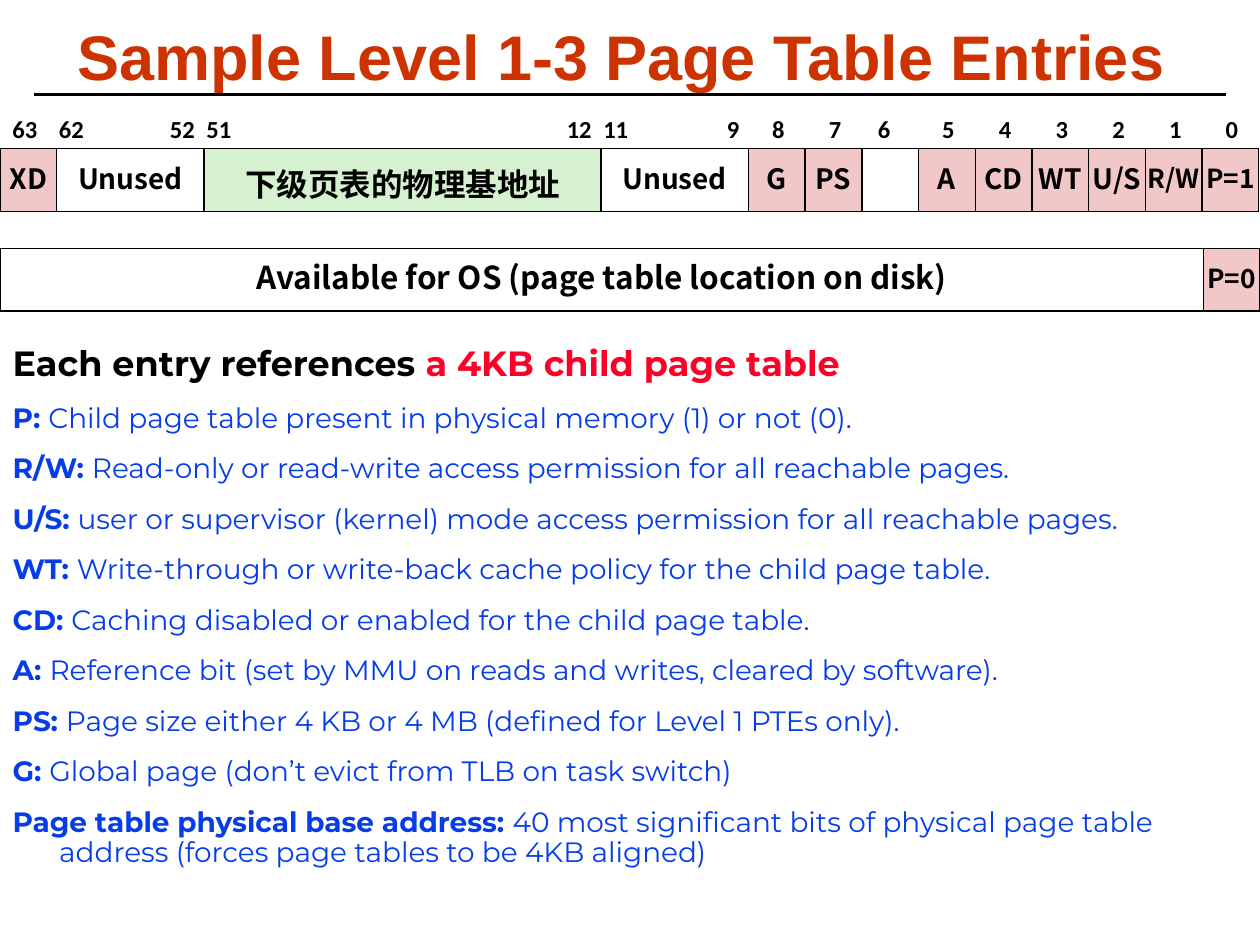
"""Build the slide on level 1-3 page table entries."""
import itertools

import lxml.etree
import pptx
import pptx.dml.color
import pptx.enum.shapes
import pptx.enum.text
import pptx.oxml.ns
import pptx.util

Inches, Pt = pptx.util.Inches, pptx.util.Pt
RGBColor = pptx.dml.color.RGBColor
ALIGN, ANCHOR = pptx.enum.text.PP_ALIGN, pptx.enum.text.MSO_ANCHOR

BLACK = RGBColor(0x00, 0x00, 0x00)
WHITE = RGBColor(0xFF, 0xFF, 0xFF)
PINK = RGBColor(0xF1, 0xC7, 0xC7)
GREEN = RGBColor(0xD5, 0xF1, 0xCF)
ORANGE = RGBColor(0xCC, 0x33, 0x00)
RED = RGBColor(0xFC, 0x01, 0x28)
BLUE = RGBColor(0x06, 0x3D, 0xE8)

TITLE = "Sample Level 1-3 Page Table Entries"
HEADING = ("Each entry references ", "a 4KB child page table")
DEFINITIONS = [
    ("P: ", "Child page table present in physical memory (1) or not (0)."),
    ("R/W: ", "Read-only or read-write access permission for all reachable pages."),
    ("U/S: ", "user or supervisor (kernel) mode access permission for all reachable pages."),
    ("WT: ", "Write-through or write-back cache policy for the child page table."),
    ("CD: ", "Caching disabled or enabled for the child page table."),
    ("A: ", "Reference bit (set by MMU on reads and writes, cleared by software)."),
    ("PS: ", "Page size either 4 KB or 4 MB (defined for Level 1 PTEs only)."),
    ("G: ", "Global page (don’t evict from TLB on task switch)"),
    ("Page table physical base address: ",
     "40 most significant bits of physical page table address "
     "(forces page tables to be 4KB aligned)"),
]

BIT, UNUSED, ADDRESS = 0.45, 1.17, 3.15
# text, width, fill, size, line spacing, bit numbers
PRESENT_ENTRY = [
    ("XD", BIT, PINK, 16, 0.88, ["63"]),
    ("Unused", UNUSED, WHITE, 16, 0.88, ["62", "52"]),
    ("下级页表的物理基地址", ADDRESS, GREEN, 18, 1.2, ["51", "12"]),
    ("Unused", UNUSED, WHITE, 16, 0.88, ["11", "9"]),
    ("G", BIT, PINK, 16, 0.88, ["8"]),
    ("PS", BIT, PINK, 16, 0.88, ["7"]),
    ("", BIT, WHITE, 16, 0.88, ["6"]),
    ("A", BIT, PINK, 16, 0.88, ["5"]),
    ("CD", BIT, PINK, 16, 0.88, ["4"]),
    ("WT", BIT, PINK, 16, 0.88, ["3"]),
    ("U/S", BIT, PINK, 16, 0.88, ["2"]),
    ("R/W", BIT, PINK, 15, 0.88, ["1"]),
    ("P=1", BIT, PINK, 15, 0.88, ["0"]),
]
ABSENT_ENTRY = [
    ("Available for OS (page table location on disk)", 10 - BIT, WHITE, 18, 0.88, []),
    ("P=0", BIT, PINK, 15, 0.88, []),
]
SINGLE_SHIFT = {"63": 0, "6": 0.03}
FIELD_HEIGHT, LABEL_TOP = 0.5, 0.89


def apply(target, **values):
    for name, value in values.items():
        setattr(target, name, value)


def place(shape, left, top, width, height):
    apply(shape, left=Inches(left), top=Inches(top),
          width=Inches(width), height=Inches(height))


def add_run(paragraph, text, name, size, color, bold=True):
    run = paragraph.add_run()
    run.text = text
    apply(run.font, name=name, size=Pt(size), bold=bold)
    run.font.color.rgb = color
    properties = run.font._element
    lxml.etree.SubElement(properties, pptx.oxml.ns.qn("a:ea"), typeface=name)


def set_indent(paragraph, indent):
    properties = paragraph._p.get_or_add_pPr()
    properties.set("marL", str(Inches(indent)))
    properties.set("indent", str(-Inches(indent)))
    lxml.etree.SubElement(properties, pptx.oxml.ns.qn("a:buNone"))


def add_field(slide, left, top, field):
    text, width, fill, size, spacing, _ = field
    shape = slide.shapes.add_shape(
        pptx.enum.shapes.MSO_SHAPE.RECTANGLE,
        Inches(left), Inches(top), Inches(width), Inches(FIELD_HEIGHT))
    shape.shadow.inherit = False
    shape.fill.solid()
    shape.fill.fore_color.rgb = fill
    shape.line.color.rgb = BLACK
    shape.line.width = Pt(0.75)
    apply(shape.text_frame, word_wrap=False, vertical_anchor=ANCHOR.MIDDLE)
    if text:
        paragraph = shape.text_frame.paragraphs[0]
        apply(paragraph, alignment=ALIGN.CENTER, line_spacing=spacing)
        add_run(paragraph, text, "Noto Sans CJK SC", size, BLACK)


def add_bit_label(slide, left, width, text):
    box = slide.shapes.add_textbox(
        Inches(left), Inches(LABEL_TOP), Inches(width), Inches(0.3))
    box.text_frame.word_wrap = False
    paragraph = box.text_frame.paragraphs[0]
    paragraph.line_spacing = 0.88
    add_run(paragraph, text, "Calibri", 14, BLACK)


def add_entry(slide, top, fields):
    lefts = itertools.accumulate((field[1] for field in fields), initial=0)
    for left, field in zip(lefts, fields):
        add_field(slide, left, top, field)
        width, bits = field[1], field[-1]
        for position, bit in enumerate(bits):
            label_width = 0.2 + 0.1 * len(bit)
            if len(bits) == 1:
                shift = SINGLE_SHIFT.get(bit, 0.09)
            elif position == 0:
                shift = -0.08
            else:
                shift = width + 0.03 - label_width
            add_bit_label(slide, left + shift, label_width, bit)


def fill_title(title):
    place(title, 0.27, 0.17, 9.32, 0.62)
    apply(title.text_frame, vertical_anchor=ANCHOR.MIDDLE, word_wrap=True,
          auto_size=pptx.enum.text.MSO_AUTO_SIZE.NONE)
    paragraph = title.text_frame.paragraphs[0]
    apply(paragraph, alignment=ALIGN.CENTER, line_spacing=0.87)
    set_indent(paragraph, 0.13)
    add_run(paragraph, TITLE, "Arial", 36, ORANGE)


def fill_body(body):
    place(body, 0, 2.7, 10, 4.25)
    frame = body.text_frame
    apply(frame, vertical_anchor=ANCHOR.TOP, word_wrap=True,
          auto_size=pptx.enum.text.MSO_AUTO_SIZE.NONE)
    for index, (term, meaning) in enumerate([HEADING] + DEFINITIONS):
        first = index == 0
        paragraph = frame.paragraphs[0] if first else frame.add_paragraph()
        apply(paragraph, line_spacing=0.88, space_before=Pt(0 if first else 12))
        set_indent(paragraph, 0.37)
        size = 20 if first else 16
        add_run(paragraph, term, "Montserrat", size, BLACK if first else BLUE)
        add_run(paragraph, meaning, "Montserrat", size, RED if first else BLUE, first)


def add_title_rule(slide):
    rule = slide.shapes.add_connector(
        pptx.enum.shapes.MSO_CONNECTOR.STRAIGHT,
        Inches(0.27), Inches(0.75), Inches(9.73), Inches(0.75))
    rule.line.color.rgb = BLACK
    rule.line.width = Pt(1.5)
    lxml.etree.SubElement(rule._element.spPr, pptx.oxml.ns.qn("a:effectLst"))


def main():
    presentation = pptx.Presentation()
    apply(presentation, slide_width=Inches(10), slide_height=Inches(7.5))
    slide = presentation.slides.add_slide(presentation.slide_layouts[1])
    add_title_rule(slide)
    fill_title(slide.shapes.title)
    fill_body(slide.placeholders[1])
    add_entry(slide, 1.18, PRESENT_ENTRY)
    add_entry(slide, 1.97, ABSENT_ENTRY)
    presentation.save("out.pptx")


if __name__ == "__main__":
    main()
